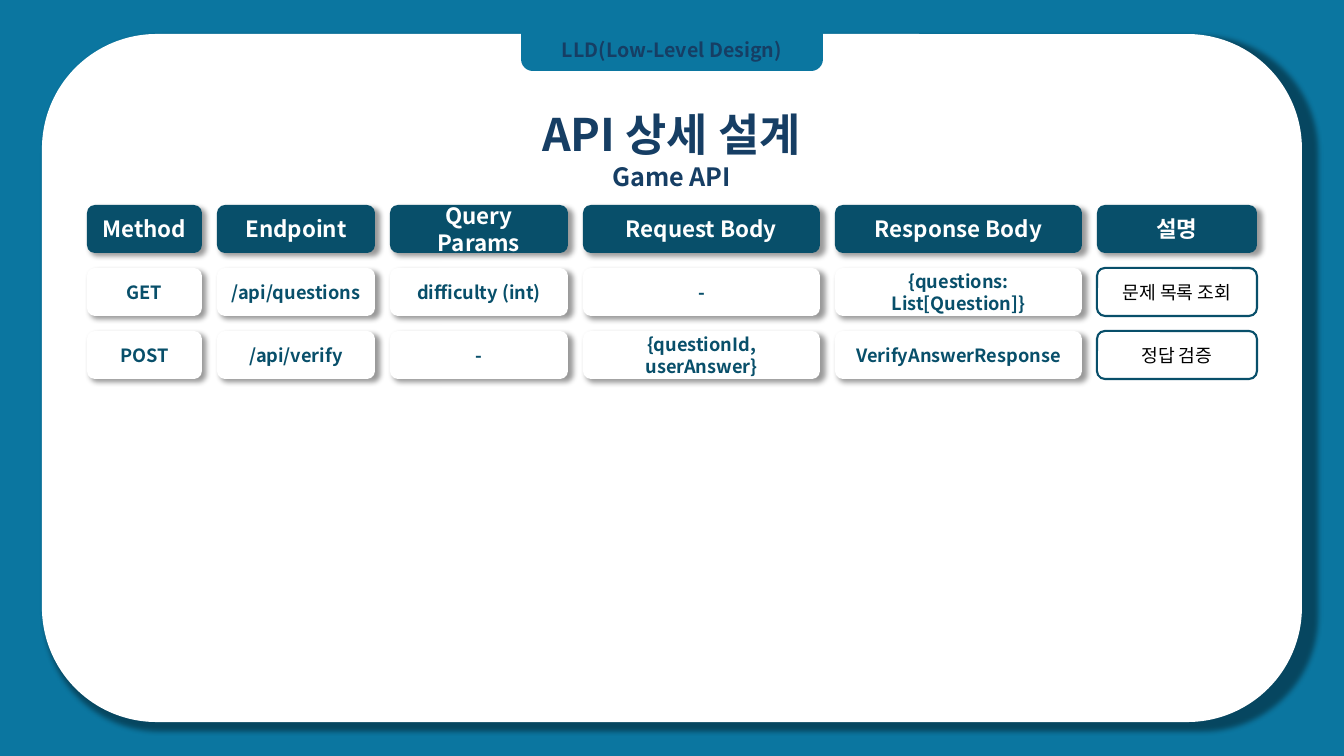
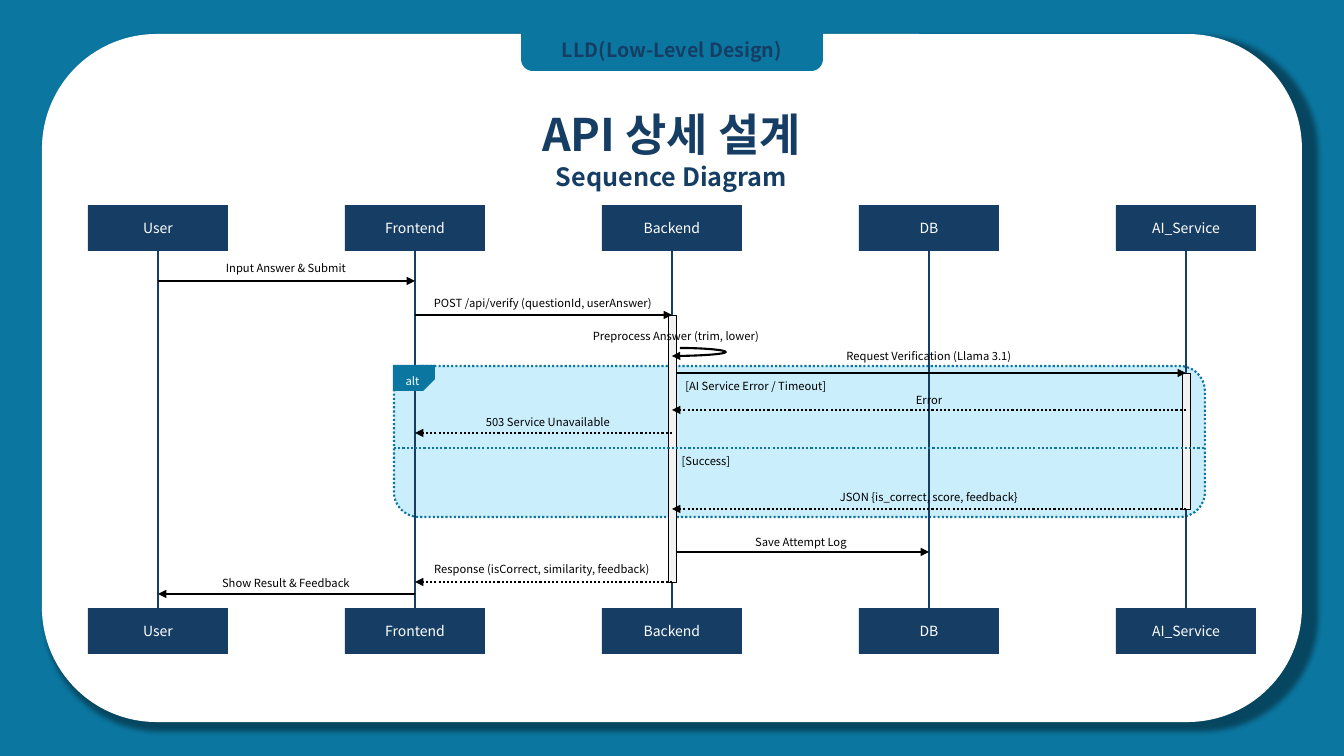
"""Build two low-level design slides: the game API table and its sequence diagram."""
from lxml.etree import SubElement
from pptx import Presentation
from pptx.dml.color import RGBColor
from pptx.enum.dml import MSO_LINE
from pptx.enum.shapes import MSO_CONNECTOR, MSO_SHAPE
from pptx.enum.text import MSO_ANCHOR, MSO_AUTO_SIZE, PP_ALIGN
from pptx.oxml.ns import qn
from pptx.util import Pt

PX = 914400 / 100.8
FONT = "Noto Sans CJK KR"
BLUE = RGBColor(0x0B, 0x76, 0xA0)
TEAL = RGBColor(0x08, 0x4F, 0x6A)
NAVY = RGBColor(0x16, 0x3E, 0x64)
SKY = RGBColor(0xCA, 0xEE, 0xFB)
GREY = RGBColor(0xF2, 0xF2, 0xF2)
WHITE = RGBColor(0xFF, 0xFF, 0xFF)
BLACK = RGBColor(0x00, 0x00, 0x00)


def add_box(slide, kind, frame, fill=None, edge=None, edge_width=1.5, shadow=False,
            lines=(), colour=BLACK, bold=False):
    left, top, width, height = [round(value * PX) for value in frame]
    if kind == "title":
        shape = slide.shapes.title
        slide.shapes.element.append(shape.element)
        shape.left, shape.top, shape.width, shape.height = left, top, width, height
    elif kind == "text":
        shape = slide.shapes.add_textbox(left, top, width, height)
    else:
        shape = slide.shapes.add_shape(kind, left, top, width, height)
        shape.shadow.inherit = False
    if fill is None:
        shape.fill.background()
    else:
        shape.fill.solid()
        shape.fill.fore_color.rgb = fill
    if edge is None:
        shape.line.fill.background()
    else:
        shape.line.color.rgb = edge
        shape.line.width = Pt(edge_width)
    if shadow:
        effects = shape.element.spPr.find(qn("a:effectLst"))
        outer = SubElement(effects, qn("a:outerShdw"), blurRad="50800", dist="38100",
                           dir="2700000", sx="101000", sy="101000", algn="tl", rotWithShape="0")
        black = SubElement(outer, qn("a:srgbClr"), val="000000")
        SubElement(black, qn("a:alpha"), val="40000")
    text = shape.text_frame
    text.word_wrap = True
    text.auto_size = MSO_AUTO_SIZE.NONE
    text.vertical_anchor = MSO_ANCHOR.TOP if kind in ("title", "text") else MSO_ANCHOR.MIDDLE
    for index, (words, size) in enumerate(lines):
        paragraph = text.add_paragraph() if index else text.paragraphs[0]
        paragraph.alignment = PP_ALIGN.CENTER
        run = paragraph.add_run()
        run.text = words
        run.font.size = Pt(size)
        run.font.bold = bold
        run.font.color.rgb = colour
        run.font.name = FONT
        SubElement(run.font._element, qn("a:ea"), typeface=FONT)
    return shape


def add_line(slide, start, end, colour=BLACK, dotted=False, arrow=True,
             kind=MSO_CONNECTOR.STRAIGHT):
    line = slide.shapes.add_connector(kind, *[round(value * PX) for value in start + end])
    line.line.color.rgb = colour
    line.line.width = Pt(1.5)
    if dotted:
        line.line.dash_style = MSO_LINE.ROUND_DOT
    if arrow:
        SubElement(line.line._get_or_add_ln(), qn("a:tailEnd"), type="triangle")
    SubElement(line.element.spPr, qn("a:effectLst"))
    return line


deck = Presentation()
deck.slide_width, deck.slide_height = round(1344 * PX), round(756 * PX)

slides = []
for subtitle in ("Game API", "Sequence Diagram"):
    slide = deck.slides.add_slide(deck.slide_layouts[5])
    slide.background.fill.solid()
    slide.background.fill.fore_color.rgb = BLUE
    add_box(slide, MSO_SHAPE.ROUNDED_RECTANGLE, (42, 34, 1260, 688), WHITE, shadow=True)
    tab = add_box(slide, MSO_SHAPE.ROUND_2_SAME_RECTANGLE, (521, 0, 302, 71), BLUE)
    tab.rotation = 180
    add_box(slide, "text", (534, 33, 276, 34), lines=[("LLD(Low-Level Design)", 14)],
            colour=NAVY, bold=True)
    add_box(slide, "title", (428, 102, 487, 95), lines=[("API 상세 설계", 32), (subtitle, 18)],
            colour=NAVY, bold=True)
    slides.append(slide)
api_slide, sequence_slide = slides

api_columns = [
    (115, "Method", "GET", "POST"),
    (158, "Endpoint", "/api/questions", "/api/verify"),
    (178, "Query Params", "difficulty (int)", "-"),
    (237, "Request Body", "-", "{questionId, userAnswer}"),
    (247, "Response Body", "{questions: List[Question]}", "VerifyAnswerResponse"),
    (160, "설명", "문제 목록 조회", "정답 검증"),
]
GAP, CARD_HEIGHT = 15, 48
left = 87
for width, *cells in api_columns:
    for row, words in enumerate(cells):
        frame = (left, 205 + row * (CARD_HEIGHT + GAP), width, CARD_HEIGHT)
        if row == 0:
            look = dict(fill=TEAL, shadow=True, colour=WHITE, bold=True)
        elif cells[0] == "설명":
            look = dict(edge=TEAL)
        else:
            look = dict(fill=WHITE, shadow=True, colour=TEAL, bold=True)
        add_box(api_slide, MSO_SHAPE.ROUNDED_RECTANGLE, frame,
                lines=[(words, 13 if row else 16)], **look)
    left += width + GAP

alt_frame = add_box(sequence_slide, MSO_SHAPE.ROUNDED_RECTANGLE, (394, 366, 811, 151), SKY, BLUE)
alt_frame.line.dash_style = MSO_LINE.ROUND_DOT

actors = ["User", "Frontend", "Backend", "DB", "AI_Service"]
lanes = [158 + 257 * index for index in range(len(actors))]
user, frontend, backend, database, ai_service = lanes
for actor, lane in zip(actors, lanes):
    head, foot = [add_box(sequence_slide, MSO_SHAPE.RECTANGLE, (lane - 70, top, 140, 46), NAVY,
                          lines=[(actor, 10)], colour=WHITE) for top in (205, 608)]
    lifeline = add_line(sequence_slide, (lane, 251), (lane, 608), NAVY, arrow=False)
    lifeline.begin_connect(head, 2)
    lifeline.end_connect(foot, 0)

for lane, top, height in ((ai_service, 373, 136), (backend, 315, 267)):
    add_box(sequence_slide, MSO_SHAPE.RECTANGLE, (lane - 4, top, 8, height), GREY, BLACK, 0.25)

messages = [
    (user, frontend, 281, False),
    (frontend, backend, 315, False),
    (backend + 4, ai_service, 373, False),
    (ai_service, backend, 410, True),
    (backend, frontend, 433, True),
    (ai_service, backend, 509, True),
    (backend + 4, database, 552, False),
    (backend, frontend, 582, True),
    (frontend, user, 594, False),
]
for sender, receiver, y, dotted in messages:
    add_line(sequence_slide, (sender, y), (receiver, y), dotted=dotted)

self_call = add_line(sequence_slide, (backend + 8, 348), (backend, 356), kind=MSO_CONNECTOR.CURVE)
bends = self_call.element.spPr.find(qn("a:prstGeom")).find(qn("a:avLst"))
SubElement(bends, qn("a:gd"), name="adj1", fmla="val -572700")

add_line(sequence_slide, (394, 448), (1205, 448), BLUE, dotted=True, arrow=False)

labels = [
    ("Input Answer & Submit", 286, 256),
    ("POST /api/verify (questionId, userAnswer)", 543, 291),
    ("Preprocess Answer (trim, lower)", 676, 324),
    ("Request Verification (Llama 3.1)", 929, 344),
    ("[AI Service Error / Timeout]", 756, 374),
    ("Error", 929, 388),
    ("503 Service Unavailable", 548, 410),
    ("[Success]", 706, 449),
    ("JSON {is_correct, score, feedback}", 929, 485),
    ("Save Attempt Log", 801, 530),
    ("Response (isCorrect, similarity, feedback)", 542, 557),
    ("Show Result & Feedback", 286, 571),
]
for words, centre, top in labels:
    add_box(sequence_slide, "text", (centre - 124, top, 248, 24), lines=[(words, 8)])

alt_tag = add_box(sequence_slide, MSO_SHAPE.SNIP_1_RECTANGLE, (393, 365, 42, 26), BLUE)
alt_tag.adjustments[0] = 0.45
alt_tag.element.spPr.find(qn("a:xfrm")).set("flipV", "1")
add_box(sequence_slide, "text", (394, 369, 37, 24), lines=[("alt", 8)], colour=WHITE)

deck.save("out.pptx")
